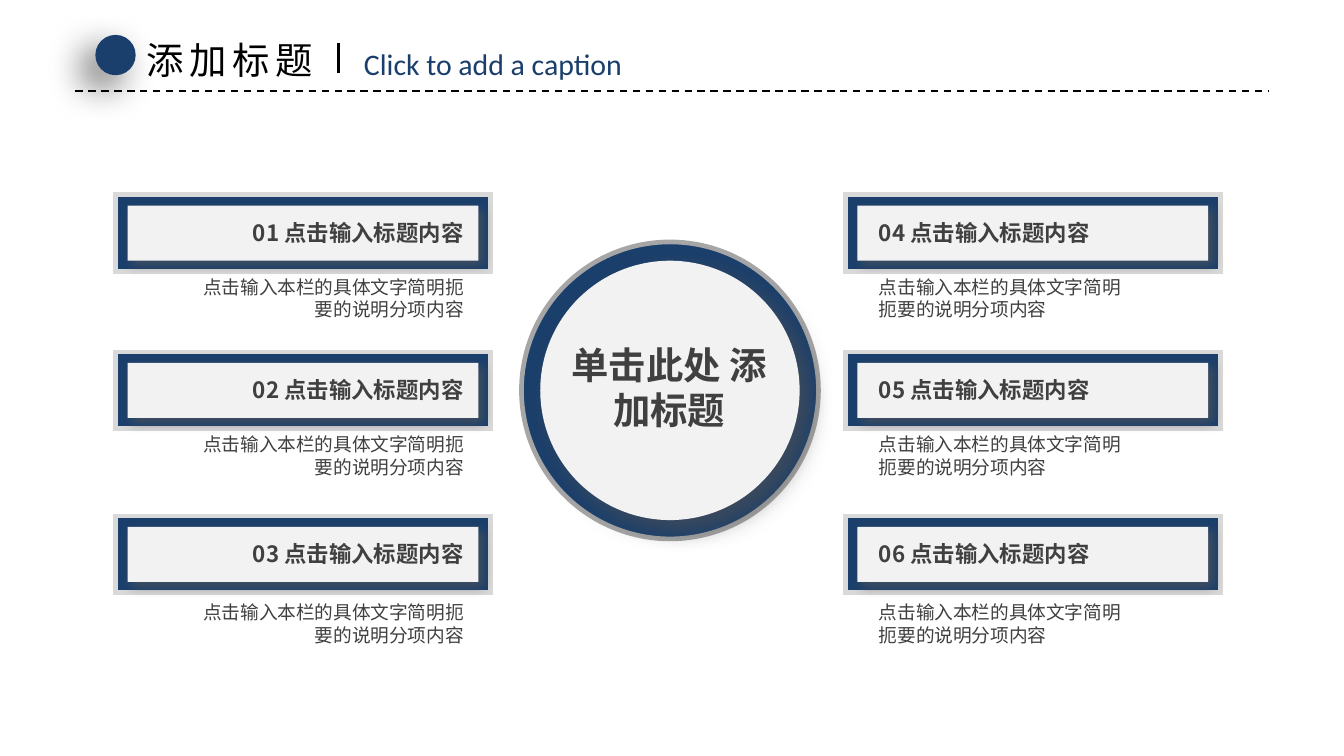
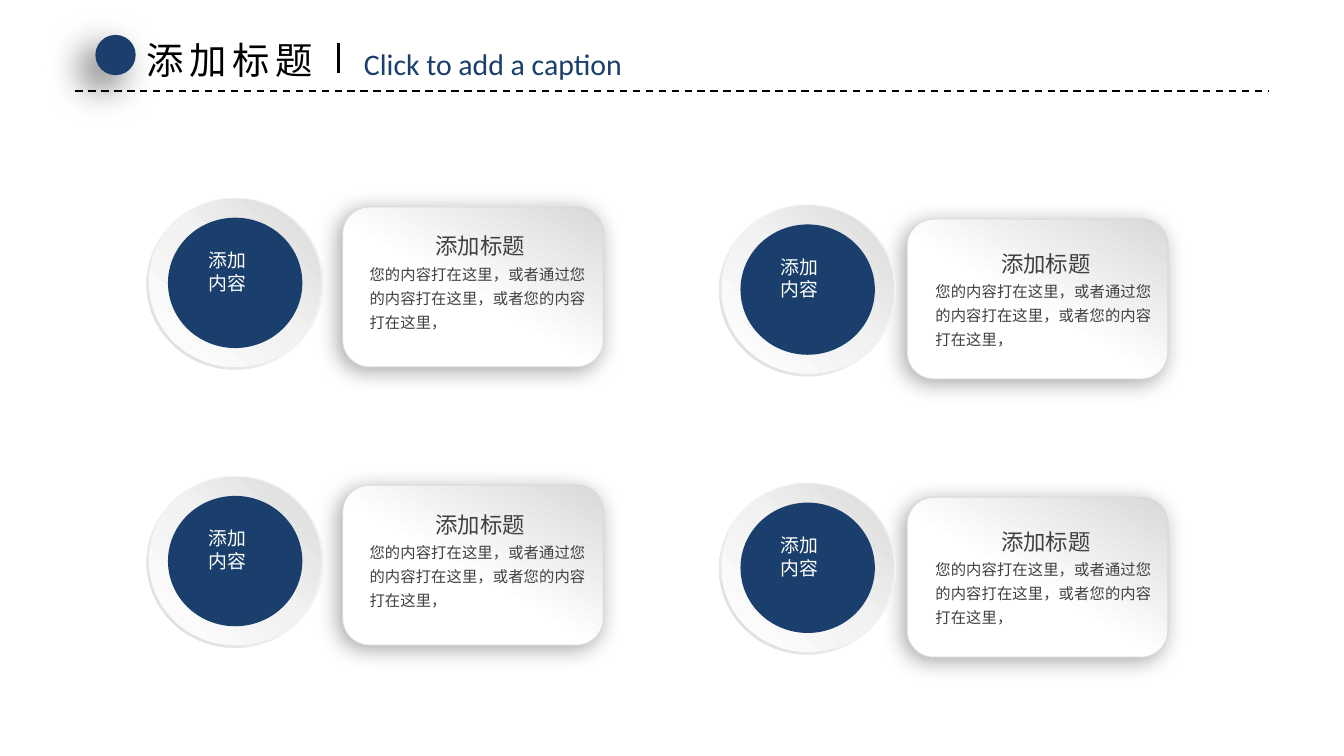
from lxml import etree
from pptx import Presentation
from pptx.dml.color import RGBColor
from pptx.enum.dml import MSO_LINE
from pptx.enum.shapes import MSO_CONNECTOR, MSO_SHAPE
from pptx.enum.text import MSO_ANCHOR, MSO_AUTO_SIZE, PP_ALIGN
from pptx.oxml.ns import qn
from pptx.util import Inches, Pt

OVAL = MSO_SHAPE.OVAL
DONUT = MSO_SHAPE.DONUT
ROUNDED = MSO_SHAPE.ROUNDED_RECTANGLE
STRAIGHT = MSO_CONNECTOR.STRAIGHT
DASH = MSO_LINE.DASH
LEFT, CENTER, RIGHT = PP_ALIGN.LEFT, PP_ALIGN.CENTER, PP_ALIGN.RIGHT
TOP, MIDDLE = MSO_ANCHOR.TOP, MSO_ANCHOR.MIDDLE
FIT, FIXED = MSO_AUTO_SIZE.SHAPE_TO_FIT_TEXT, MSO_AUTO_SIZE.NONE

NAVY, BLACK, WHITE = "1A3F6C", "000000", "FFFFFF"
PALE, SILVER, GRAY, INK = "F2F2F2", "D9D9D9", "A6A6A6", "404040"
CJK, LATIN = "Noto Sans CJK SC", "Calibri"

# Shadows: colour, opacity %, blur pt, distance pt, direction in degrees
DOT_SHADOW = (BLACK, 60, 20, 10, 135)
PANEL_SHADOW = ("595959", 64, 6, 3, 45)
DISC_SHADOW = ("525252", 64, 13, 7, 45)
CARD_SHADOW = (BLACK, 34, 12, 3, 135)

# Gradients: clockwise angle, then (position %, colour) stops
CARD_GRADIENT = (300, [(45, WHITE), (100, SILVER)])
RIM_GRADIENT = (135, [(0, PALE), (55, PALE), (100, SILVER)])
DISH_GRADIENT = (315, [(0, WHITE), (51, PALE), (100, SILVER)])

DESCRIPTION = "点击输入本栏的具体文字简明扼要的说明分项内容"
CARD_BODY = "您的内容打在这里，或者通过您的内容打在这里，或者您的内容打在这里，"


def rgb(color):
    return RGBColor.from_string(color)


def add_xml(parent, tag, **attributes):
    element = etree.SubElement(parent, qn(tag))
    for name, value in attributes.items():
        element.set(name, str(value))
    return element


def add_shadow(shape, shadow):
    color, opacity, blur, distance, direction = shadow
    effects = shape._element.spPr.find(qn("a:effectLst"))
    outer = add_xml(effects, "a:outerShdw", blurRad=Pt(blur), dist=Pt(distance),
                    dir=direction * 60000, algn="ctr", rotWithShape=0)
    tint = add_xml(outer, "a:srgbClr", val=color)
    add_xml(tint, "a:alpha", val=opacity * 1000)


def fill_gradient(shape, gradient):
    angle, stops = gradient
    shape.fill.gradient()
    shape.fill.gradient_angle = 360 - angle
    stop_list = shape._element.spPr.find(".//" + qn("a:gsLst"))
    for stop in list(stop_list):
        stop_list.remove(stop)
    for position, color in stops:
        stop = add_xml(stop_list, "a:gs", pos=position * 1000)
        add_xml(stop, "a:srgbClr", val=color)


def add_figure(slide, kind, left, top, width, height, fill,
               line=None, shadow=None, adjustment=None):
    """Add a preset shape; fill is a colour or a gradient, line is (colour, pt)."""
    shape = slide.shapes.add_shape(kind, Inches(left), Inches(top),
                                   Inches(width), Inches(height))
    if adjustment is not None:
        shape.adjustments[0] = adjustment
    if isinstance(fill, str):
        shape.fill.solid()
        shape.fill.fore_color.rgb = rgb(fill)
    else:
        fill_gradient(shape, fill)
    if line:
        shape.line.color.rgb = rgb(line[0])
        shape.line.width = Pt(line[1])
        add_xml(shape._element.spPr.find(qn("a:ln")), "a:miter", lim=800000)
    else:
        shape.line.fill.background()
    shape.shadow.inherit = False
    if shadow:
        add_shadow(shape, shadow)


def add_rule(slide, x1, y1, x2, y2, width, dash=None):
    rule = slide.shapes.add_connector(STRAIGHT, Inches(x1), Inches(y1),
                                      Inches(x2), Inches(y2))
    rule.line.color.rgb = rgb(BLACK)
    rule.line.width = Pt(width)
    if dash:
        rule.line.dash_style = dash
    add_xml(rule._element.spPr, "a:effectLst")


def add_text(slide, left, top, width, height, lines, size, color=INK, font=CJK,
             bold=False, align=LEFT, anchor=TOP, insets=(0.1, 0.05), wrap=True,
             fit=FIT, line_spacing=None, tracking=None):
    """Add a text box with one paragraph per line; insets are (side, top/bottom)."""
    box = slide.shapes.add_textbox(Inches(left), Inches(top),
                                   Inches(width), Inches(height))
    frame = box.text_frame
    frame.word_wrap = wrap
    frame.auto_size = fit
    frame.vertical_anchor = anchor
    frame.margin_left = frame.margin_right = Inches(insets[0])
    frame.margin_top = frame.margin_bottom = Inches(insets[1])
    for index, line in enumerate(lines):
        paragraph = frame.add_paragraph() if index else frame.paragraphs[0]
        paragraph.alignment = align
        if line_spacing:
            paragraph.line_spacing = line_spacing
        run = paragraph.add_run()
        run.text = line
        run.font.size = Pt(size)
        run.font.bold = bold
        run.font.color.rgb = rgb(color)
        run.font.name = font
        properties = run._r.get_or_add_rPr()
        add_xml(properties, "a:ea", typeface=font)
        if tracking:
            properties.set("spc", str(tracking * 100))


def add_header(slide):
    add_rule(slide, 0.56, 0.68, 9.44, 0.68, 1, DASH)
    add_figure(slide, OVAL, 0.71, 0.26, 0.3, 0.3, NAVY, shadow=DOT_SHADOW)
    add_text(slide, 0.99, 0.23, 1.49, 0.44, ["添加标题"], 20, BLACK,
             wrap=False, tracking=3)
    add_text(slide, 2.61, 0.29, 2.25, 0.37, ["Click to add a caption"], 16, NAVY,
             font=LATIN, wrap=False)
    add_rule(slide, 2.52, 0.32, 2.52, 0.54, 1.5)


def add_framed_panel(slide, left, top):
    add_figure(slide, ROUNDED, left, top, 2.79, 0.57, NAVY,
               line=(SILVER, 2.5), adjustment=0)
    add_figure(slide, ROUNDED, left + 0.09, top + 0.08, 2.61, 0.41, PALE,
               shadow=PANEL_SHADOW, adjustment=0)


def add_item_text(slide, number, text_edge, align, top, description_top):
    """Add an item's heading and description, both flush with text_edge."""
    description_width = 1.94 if align == RIGHT else 1.84
    rows = [(f"{number:02d} 点击输入标题内容", top + 0.13, 2.14, 0.31, 12, True, TOP),
            (DESCRIPTION, description_top, description_width, 0.14, 10, False, MIDDLE)]
    for text, text_top, width, height, size, bold, anchor in rows:
        left = text_edge - width if align == RIGHT else text_edge
        add_text(slide, left, text_top, width, height, [text], size, bold=bold,
                 align=align, anchor=anchor, insets=(0, 0.05), fit=FIXED)


def add_hub(slide):
    add_figure(slide, OVAL, 3.88, 1.8, 2.21, 2.21, NAVY, line=(GRAY, 2.5))
    add_figure(slide, OVAL, 4.02, 1.94, 1.93, 1.93, PALE, shadow=DISC_SHADOW)
    add_text(slide, 4.13, 2.5, 1.7, 0.77, ["单击此处 添加标题"], 20,
             bold=True, align=CENTER)


def add_card(slide, left, top, body_left, body_top):
    add_figure(slide, ROUNDED, left, top, 1.94, 1.19, CARD_GRADIENT,
               line=(SILVER, 0.5), shadow=CARD_SHADOW)
    add_text(slide, body_left, body_top, 1.83, 0.62, [CARD_BODY], 8.25,
             insets=(0.07, 0.04), line_spacing=1.3)
    add_text(slide, body_left + 0.49, body_top - 0.26, 1.1, 0.3, ["添加标题"], 12,
             insets=(0.07, 0), line_spacing=1.5)


def add_medallion(slide, left, top):
    add_figure(slide, DONUT, left, top, 1.32, 1.28, RIM_GRADIENT, adjustment=0.05)
    add_figure(slide, OVAL, left + 0.02, top + 0.01, 1.28, 1.25, DISH_GRADIENT)
    add_figure(slide, OVAL, left + 0.16, top + 0.15, 1, 0.97, NAVY)
    add_text(slide, left + 0.36, top + 0.33, 0.75, 0.44, ["添加", "内容"], 10.15, WHITE)


def build_hub_slide(slide):
    add_header(slide)
    rows = [(1.45, 2.15), (2.62, 3.32), (3.84, 4.57)]
    columns = [(0.86, 3.45, RIGHT), (6.29, 6.54, LEFT)]
    number = 0
    for panel_left, text_edge, align in columns:
        for top, description_top in rows:
            number += 1
            add_framed_panel(slide, panel_left, top)
            add_item_text(slide, number, text_edge, align, top, description_top)
    add_hub(slide)


def build_card_slide(slide):
    add_header(slide)
    # Top row of each column: medallion, card, card body
    columns = [((1.09, 1.47), (2.55, 1.54), (2.68, 1.89)),
               ((5.35, 1.52), (6.75, 1.63), (6.89, 2.02))]
    row_pitch = 2.07
    for row in range(2):
        drop = row * row_pitch
        for medallion, card, body in columns:
            add_card(slide, card[0], card[1] + drop, body[0], body[1] + drop)
            add_medallion(slide, medallion[0], medallion[1] + drop)


def main():
    presentation = Presentation()
    presentation.slide_width = Inches(10)
    presentation.slide_height = Inches(10) * 9 // 16
    blank = presentation.slide_layouts[6]
    for build in (build_hub_slide, build_card_slide):
        build(presentation.slides.add_slide(blank))
    presentation.save("out.pptx")


if __name__ == "__main__":
    main()
